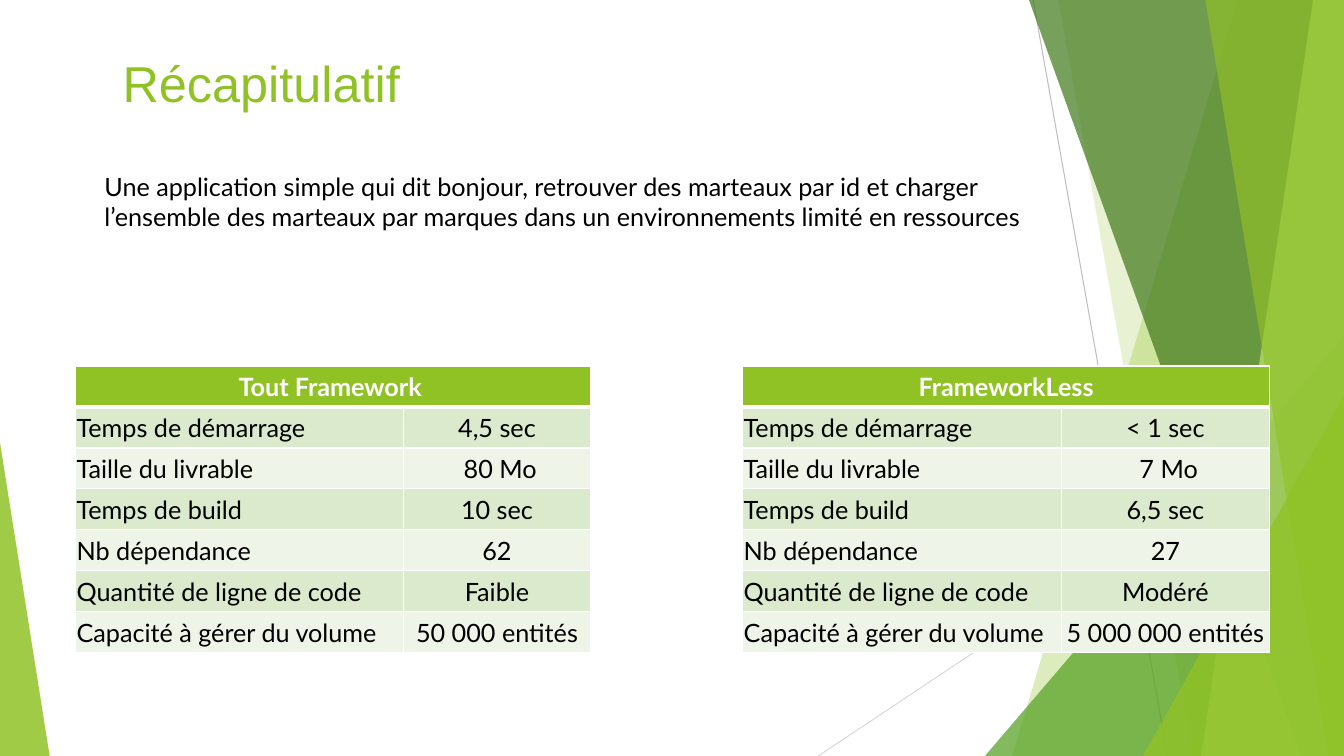
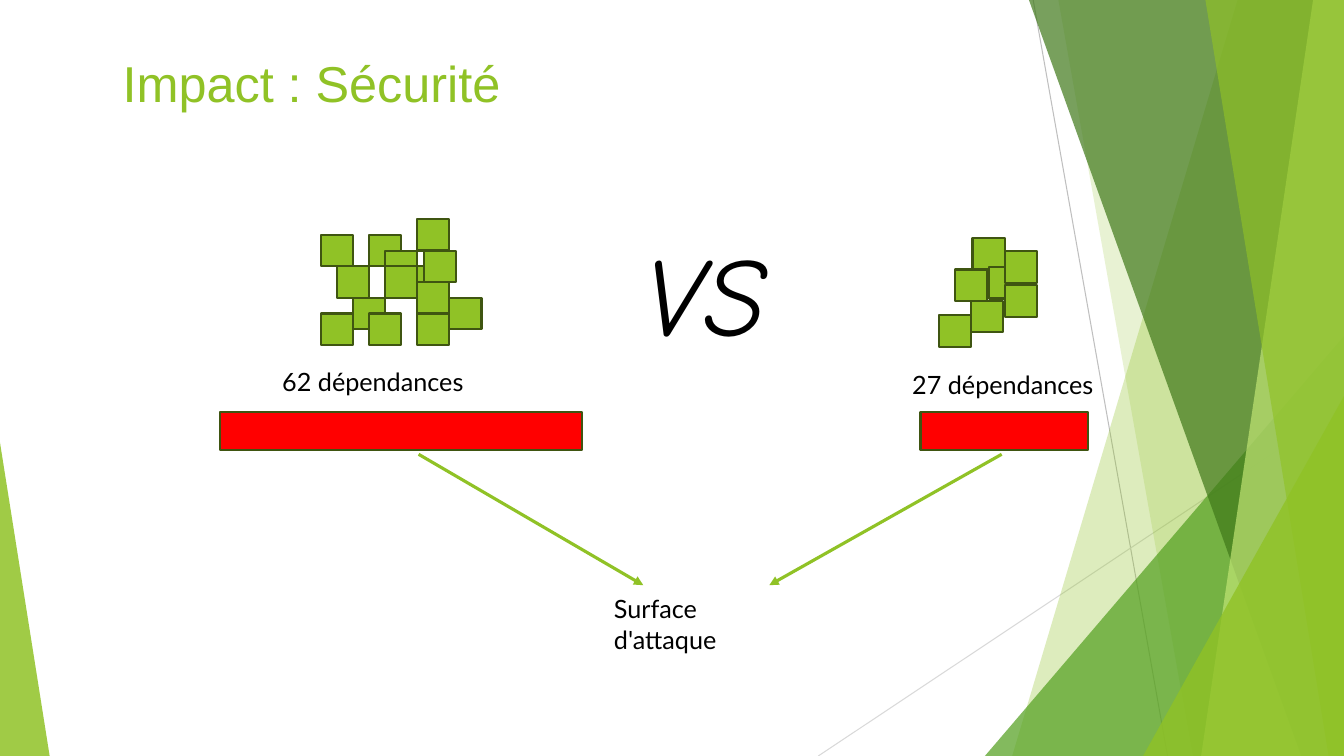
from lxml import etree
from pptx import Presentation
from pptx.dml.color import RGBColor
from pptx.enum.shapes import MSO_CONNECTOR, MSO_SHAPE
from pptx.enum.text import MSO_ANCHOR, PP_ALIGN
from pptx.oxml.ns import qn
from pptx.util import Pt

RECTANGLE, TRIANGLE = MSO_SHAPE.RECTANGLE, MSO_SHAPE.ISOSCELES_TRIANGLE
STRAIGHT = MSO_CONNECTOR.STRAIGHT
TOP, MIDDLE = MSO_ANCHOR.TOP, MSO_ANCHOR.MIDDLE
LEFT, CENTER = PP_ALIGN.LEFT, PP_ALIGN.CENTER

WIDTH, HEIGHT = 960, 540
BODY_FONT, TITLE_FONT, VERSUS_FONT = "Lato", "Arial", "Comic Neue"
COLORS = {
    "green": "90C226", "mid_green": "54A021", "dark_green": "3F7819",
    "light_green": "C0E474", "outline": "3F5511", "red": "FF0000",
    "black": "000000", "white": "FFFFFF", "odd_row": "DBE9CD",
    "even_row": "EEF4E8", "grey": "BFBFBF", "light_grey": "D9D9D9",
}

# Kind, geometry, colour, opacity in percent, from back to front.
# A band has its left edge's top and bottom x; a corner has box and apex.
BACKDROP = [
    ("band", (884, 723), "green", 30),
    ("band", (756, 852), "green", 20),
    ("corner", (703.5, 240, 256.5, 300, 1), "mid_green", 72),
    ("band", (735, 929.5), "dark_green", 70),
    ("band", (938, 858), "light_green", 70),
    ("band", (861, 949), "green", 65),
    ("corner", (816.5, 283, 143.5, 257, 1), "green", 80),
    ("corner", (0, 316, 35.5, 224, 0), "green", 85),
]

MEASURES = [
    ("Temps de démarrage", "4,5 sec", "< 1 sec"),
    ("Taille du livrable", " 80 Mo", " 7 Mo"),
    ("Temps de build", "10 sec", "6,5 sec"),
    ("Nb dépendance", "62", "27"),
    ("Quantité de ligne de code", "Faible", "Modéré"),
    ("Capacité à gérer du volume", "50 000 entités", "5 000 000 entités"),
]

# Block positions in half-block steps, from back to front.
BLOCK = (23, 22.5)
MANY_BLOCKS = [(3, 1), (4, 2), (5, 3), (6, 4), (6, 6), (2, 5), (6.4, 2),
               (4, 3), (6, 0), (0, 6), (8, 5), (3, 6), (1, 3), (0, 1)]
FEW_BLOCKS = [(2.1, 0), (3.1, 1.85), (1, 2), (4.1, 3), (2, 4),
              (4.1, 0.85), (0, 4.9)]


def rgb(name):
    return RGBColor.from_string(COLORS[name])


def points(*values):
    return [Pt(value) for value in values]


def paint(shape, color, opacity=100, outline=None):
    shape.shadow.inherit = False
    shape.fill.solid()
    shape.fill.fore_color.rgb = rgb(color)
    if opacity < 100:
        color_node = shape.fill._xPr.find(qn("a:solidFill"))[0]
        etree.SubElement(color_node, qn("a:alpha"), val=str(opacity * 1000))
    if outline:
        shape.line.color.rgb = rgb(outline)
        shape.line.width = Pt(1.5)
    else:
        shape.line.fill.background()


def add_rectangle(slide, box, color):
    paint(slide.shapes.add_shape(RECTANGLE, *points(*box)), color,
          outline="outline")


def add_line(slide, ends, color, width, arrow=False):
    line = slide.shapes.add_connector(STRAIGHT, *points(*ends))
    line.line.color.rgb = rgb(color)
    line.line.width = Pt(width)
    if arrow:
        etree.SubElement(line.line._get_or_add_ln(), qn("a:tailEnd"),
                         type="triangle")
    etree.SubElement(line._element.spPr, qn("a:effectLst"))


def style(paragraph, size=18, font=BODY_FONT, color="black", bold=False,
          italic=False):
    paragraph.font.size = Pt(size)
    paragraph.font.name = font
    paragraph.font.color.rgb = rgb(color)
    paragraph.font.bold = bold
    paragraph.font.italic = italic


def add_text(slide, box, text, anchor=TOP, **look):
    frame = slide.shapes.add_textbox(*points(*box)).text_frame
    frame.word_wrap = True
    frame.vertical_anchor = anchor
    frame.text = text
    style(frame.paragraphs[0], **look)


def add_backdrop(slide):
    add_line(slide, (738, 0, 834, HEIGHT), "grey", 0.75)
    add_line(slide, (WIDTH, 290, 584.5, HEIGHT), "light_grey", 0.75)
    for kind, geometry, color, opacity in BACKDROP:
        if kind == "band":
            top_x, bottom_x = points(*geometry)
            right, bottom = points(WIDTH, HEIGHT)
            outline = slide.shapes.build_freeform(top_x, 0)
            outline.add_line_segments(
                [(right, 0), (right, bottom), (bottom_x, bottom)], close=True)
            shape = outline.convert_to_shape()
        else:
            *box, apex = geometry
            shape = slide.shapes.add_shape(TRIANGLE, *points(*box))
            shape.adjustments[0] = apex
        paint(shape, color, opacity)


def add_titled_slide(deck, title):
    slide = deck.slides.add_slide(deck.slide_layouts[6])
    add_backdrop(slide)
    add_text(slide, (80.5, 31, 797, 55.5), title, MIDDLE, size=36,
             font=TITLE_FONT, color="green")
    return slide


def add_borders(cell, bottom_width):
    properties = cell._tc.get_or_add_tcPr()
    for side, width in zip("LRTB", (1, 1, 1, bottom_width)):
        border = etree.SubElement(properties, qn(f"a:ln{side}"),
                                  w=str(Pt(width)))
        fill = etree.SubElement(border, qn("a:solidFill"))
        etree.SubElement(fill, qn("a:srgbClr"), val=COLORS["white"])


def fill_cell(cell, text, background, align, header=False):
    add_borders(cell, 3 if header else 1)
    if background:
        cell.fill.solid()
        cell.fill.fore_color.rgb = rgb(background)
    else:
        cell.fill.background()
    if not header:
        cell.vertical_anchor = MIDDLE
        cell.margin_left = cell.margin_right = cell.margin_top = Pt(0.75)
        cell.margin_bottom = 0
    cell.text = text
    paragraph = cell.text_frame.paragraphs[0]
    paragraph.alignment = align
    style(paragraph, color="white" if header else "black", bold=header)


def add_comparison(slide, left, top):
    """Two measure tables side by side, kept apart by an unfilled column."""
    widths, row_height = (234, 134, 108.5, 227.5, 149), 29.25
    rows = len(MEASURES) + 1
    table = slide.shapes.add_table(
        rows, len(widths),
        *points(left, top, sum(widths), rows * row_height)).table
    table.first_row = table.horz_banding = False
    for column, width in zip(table.columns, widths):
        column.width = Pt(width)
    for row in table.rows:
        row.height = Pt(row_height)

    headers = ("Tout Framework ", "", "", "FrameworkLess", "")
    for column, text in enumerate(headers):
        fill_cell(table.cell(0, column), text,
                  None if column == 2 else "green", CENTER, header=True)
    for first in (0, 3):
        table.cell(0, first).merge(table.cell(0, first + 1))

    for row, (label, framework, frameworkless) in enumerate(MEASURES, 1):
        band = "odd_row" if row % 2 else "even_row"
        texts = (label, framework, "", label, frameworkless)
        for column, text in enumerate(texts):
            fill_cell(table.cell(row, column), text,
                      None if column == 2 else band,
                      LEFT if column in (0, 3) else CENTER)


def add_blocks(slide, left, top, steps):
    width, height = BLOCK
    for across, down in steps:
        add_rectangle(slide, (left + across * width / 2,
                              top + down * height / 2, width, height), "green")


def build_summary(deck):
    slide = add_titled_slide(deck, "Récapitulatif")
    add_text(slide, (67.5, 119, 700, 51),
             "Une application simple qui dit bonjour, retrouver des marteaux "
             "par id et charger l’ensemble des marteaux par marques dans un "
             "environnements limité en ressources")
    add_comparison(slide, 54, 261.5)


def build_security(deck):
    slide = add_titled_slide(deck, "Impact : Sécurité")
    add_blocks(slide, 229, 156.5, MANY_BLOCKS)
    add_blocks(slide, 670.5, 170, FEW_BLOCKS)
    add_text(slide, (194.5, 258, 259, 29), "62 dépendances")
    add_text(slide, (644.5, 260, 216, 29), "27 dépendances")
    add_text(slide, (453.5, 156.5, 104.5, 103.5), "VS", size=80,
             font=VERSUS_FONT, italic=True)
    for left, width in ((157, 259), (657.5, 120)):
        add_rectangle(slide, (left, 294.5, width, 27), "red")
    add_text(slide, (431.5, 420.5, 149, 29), "Surface d'attaque")
    for start, end in ((299, 459.5), (715.5, 549.5)):
        add_line(slide, (start, 324.5, end, 418), "green", 2.25, arrow=True)


def main():
    deck = Presentation()
    deck.slide_width, deck.slide_height = points(WIDTH, HEIGHT)
    build_summary(deck)
    build_security(deck)
    deck.save("out.pptx")


if __name__ == "__main__":
    main()
